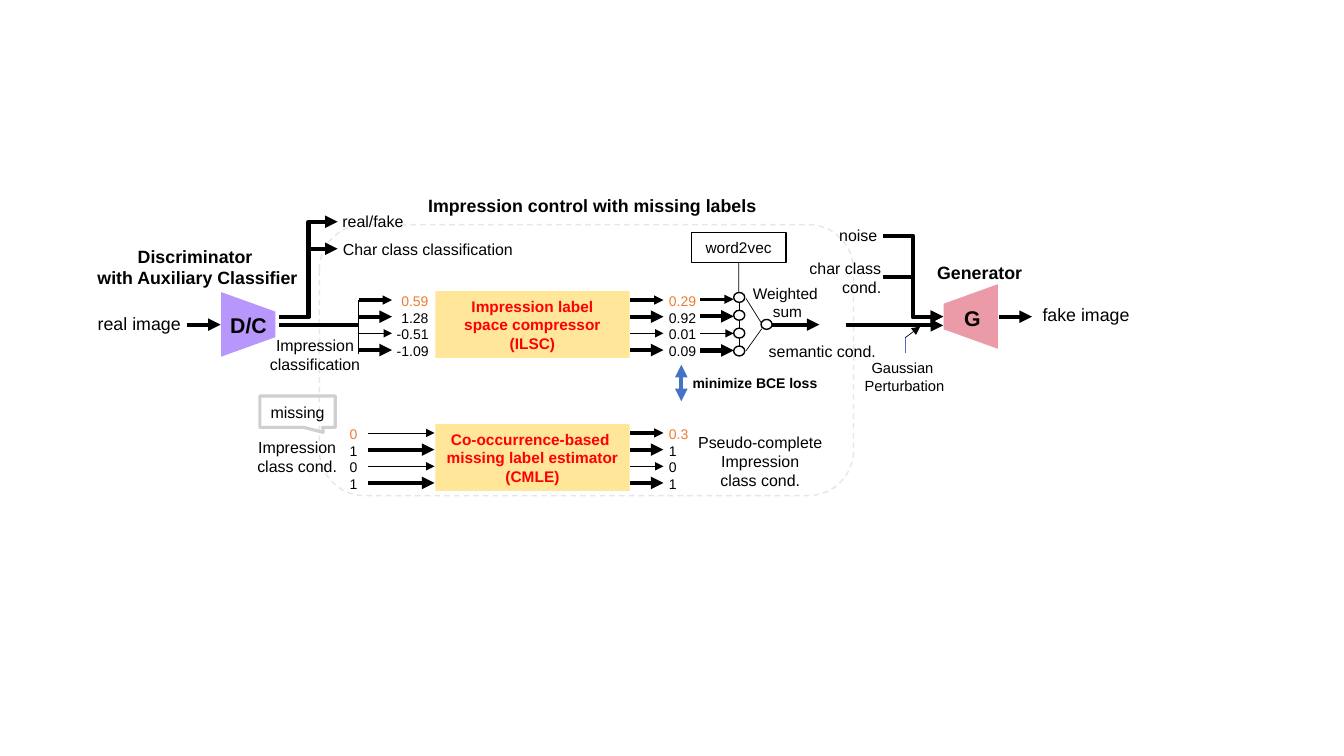
"""Build the slide on impression control with missing labels."""
import dataclasses
import pptx
import pptx.dml.color
import pptx.enum.dml
import pptx.enum.shapes
import pptx.enum.text
import pptx.oxml.ns
import pptx.oxml.xmlchemy
import pptx.slide
import pptx.util

Cm, Pt = pptx.util.Cm, pptx.util.Pt
RGBColor = pptx.dml.color.RGBColor
Kind = pptx.enum.shapes.MSO_SHAPE
Join = pptx.enum.shapes.MSO_CONNECTOR
Align = pptx.enum.text.PP_ALIGN
qn = pptx.oxml.ns.qn

BLACK = RGBColor(0x00, 0x00, 0x00)
WHITE = RGBColor(0xFF, 0xFF, 0xFF)
RED = RGBColor(0xFF, 0x00, 0x00)
ORANGE = RGBColor(0xED, 0x7D, 0x31)
BLUE = RGBColor(0x44, 0x72, 0xC4)
PINK = RGBColor(0xEB, 0x9A, 0xA8)
VIOLET = RGBColor(0x56, 0x08, 0xF9)
SAND = RGBColor(0xFF, 0xE6, 0x99)
PALE = RGBColor(0xE7, 0xE6, 0xE6)
GRAY = RGBColor(0xD0, 0xCE, 0xCE)

FLOW = (2.25, 3, 0.25, 3)
LABELS = (0.25, 3, 0.25, 3)


@dataclasses.dataclass
class Box:
    """A region of the slide, with its corner in centimetres."""
    slide: pptx.slide.Slide
    x: float
    y: float

    def place(self, left, top):
        """Turn an offset in the region into a slide position."""
        return Cm(self.x + left), Cm(self.y + top)


def write(frame, text, size=11.4, bold=False, color=BLACK, first=None,
          align=Align.CENTER, wrap=False, inset=None):
    """Fill a text frame, one paragraph a line."""
    frame.word_wrap = wrap
    if inset is not None:
        frame.margin_left = frame.margin_right = Cm(inset)
        frame.margin_top = frame.margin_bottom = Cm(inset)
    for row, line in enumerate(text.split("\n")):
        para = frame.paragraphs[0] if row == 0 else frame.add_paragraph()
        para.alignment = align
        run = para.add_run()
        run.text = line
        run.font.name = "Arial"
        run.font.size = Pt(size)
        run.font.bold = bold
        run.font.color.rgb = first if first and row == 0 else color


def label(box, at, text, **form):
    """Add a text box at left, top, width, height in the region."""
    left, top, wide, high = at
    area = box.slide.shapes.add_textbox(*box.place(left, top), Cm(wide), Cm(high))
    write(area.text_frame, text, **form)


def shape(box, kind, at, fill=None, line=None, width=1):
    """Add a preset shape without a shadow."""
    left, top, wide, high = at
    item = box.slide.shapes.add_shape(kind, *box.place(left, top), Cm(wide), Cm(high))
    item.shadow.inherit = False
    if fill is None:
        item.fill.background()
    else:
        item.fill.solid()
        item.fill.fore_color.rgb = fill
    if line is None:
        item.line.fill.background()
    else:
        item.line.color.rgb = line
        item.line.width = Pt(width)
    return item


def link(box, start, end, width=3, color=BLACK, ends=("tailEnd",), bent=False):
    """Add a straight or bent line with the given arrowheads."""
    kind = Join.ELBOW if bent else Join.STRAIGHT
    item = box.slide.shapes.add_connector(kind, *box.place(*start), *box.place(*end))
    item.line.color.rgb = color
    item.line.width = Pt(width)
    props = item.element.spPr
    for name in ends:
        head = pptx.oxml.xmlchemy.OxmlElement("a:" + name)
        head.set("type", "triangle")
        props.find(qn("a:ln")).append(head)
    props.append(pptx.oxml.xmlchemy.OxmlElement("a:effectLst"))
    return item


def fan(box, left, right, top, widths, step=0.42):
    """Draw a stack of arrows, one for each label."""
    for row, width in enumerate(widths):
        level = top + row * step
        link(box, (left, level), (right, level), width)


def net(box, at, turn, fill):
    """Draw a network as a turned trapezoid."""
    item = shape(box, Kind.TRAPEZOID, (*at, 1.63, 1.37), fill)
    item.adjustments[0] = 0.36
    item.rotation = turn
    return item


def control(box):
    """Draw the dashed frame and its title."""
    frame = shape(box, Kind.ROUNDED_RECTANGLE, (0, 0, 13.46, 6.83), line=PALE)
    frame.line.dash_style = pptx.enum.dml.MSO_LINE.DASH
    label(box, (2.47, -0.88, 8.94, 0.79), "Impression control with missing labels ",
          size=12.7, bold=True)


def critic(box):
    """Draw the discriminator with its inputs and outputs."""
    item = net(box, (3.24, 2.29), 90, VIOLET)
    alpha = pptx.oxml.xmlchemy.OxmlElement("a:alpha")
    alpha.set("val", "42000")
    item.element.spPr.find(qn("a:solidFill"))[0].append(alpha)
    label(box, (3.34, 2.55, 1.45, 0.91), "D/C", size=15.2, bold=True)
    label(box, (0, 0.87, 5.56, 1.35), "Discriminator \nwith Auxiliary Classifier",
          size=12.7, bold=True)
    label(box, (0, 2.55, 2.62, 0.79), "real image", size=12.7)
    link(box, (2.52, 2.98), (3.36, 2.98))
    for level in (0.39, 1.07):
        link(box, (4.84, 2.78), (6.31, level), bent=True)
    label(box, (6.16, 0, 2.08, 0.74), "real/fake")
    label(box, (6.16, 0.72, 4.85, 0.74), "Char class classification")
    link(box, (4.84, 2.98), (6.84, 2.98), ends=())
    label(box, (4.28, 3.13, 2.92, 1.22), "Impression\nclassification")


def stage(box, title, source, result, span, widths, left, wide, align):
    """Draw a label block between its input and output values."""
    block = shape(box, Kind.RECTANGLE, (1.93, 0.1, 4.9, 1.68), SAND)
    write(block.text_frame, title, size=11, bold=True, color=RED, wrap=True)
    fan(box, *span, 0.32, widths)
    fan(box, 6.84, 7.68, 0.32, FLOW)
    label(box, (left, 0, wide, 1.96), source, size=10, first=ORANGE, align=align)
    label(box, (7.57, 0, 1.2, 1.96), result, size=10, first=ORANGE, align=Align.LEFT)


def squeeze(box):
    """Draw the label space compressor and the loss below it."""
    stage(box, "Impression label\nspace compressor\n(ILSC)",
          "0.59\n1.28\n-0.51\n-1.09", "0.29\n0.92\n0.01\n0.09",
          (0, 0.84), FLOW, 0.69, 1.32, Align.RIGHT)
    link(box, (0, 0.33), (0, 1.68), 0.5, ends=())
    link(box, (8.13, 2.87), (8.13, 1.95), color=BLUE, ends=("headEnd", "tailEnd"))
    label(box, (7.9, 2.06, 4.17, 0.69), "minimize BCE loss", size=10, bold=True, wrap=True)


def guess(box):
    """Draw the missing label estimator and its class conditions."""
    stage(box, "Co-occurrence-based \nmissing label estimator\n(CMLE)",
          "0\n1\n0\n1", "0.3\n1\n0\n1",
          (0.23, 1.91), LABELS, -0.48, 0.71, Align.LEFT)
    label(box, (-2.82, 0.31, 2.54, 1.22), "Impression\nclass cond.")
    label(box, (8.28, 0.18, 3.68, 1.73), "Pseudo-complete\nImpression\nclass cond.")
    note = shape(box, Kind.RECTANGULAR_CALLOUT, (-2.49, -0.61, 1.9, 0.79),
                 line=GRAY, width=2.25)
    note.adjustments[0], note.adjustments[1] = 0.34, 0.66
    write(note.text_frame, "missing")


def embed(box):
    """Draw the word vectors and their weighted sum."""
    model = shape(box, Kind.RECTANGLE, (0, 0, 2.39, 0.74), line=BLACK, width=0.75)
    write(model.text_frame, "word2vec", size=11)
    link(box, (1.2, 0.74), (1.2, 1.5), 0.5, ends=()).begin_connect(model, 2)
    link(box, (1.21, 1.5), (1.21, 2.85), 0.5, ends=())
    fan(box, 0.23, 1.07, 1.67, FLOW, 0.43)
    link(box, (1.38, 1.65), (1.76, 2.26), 0.5, ends=())
    link(box, (1.78, 2.41), (1.38, 2.97), 0.5, ends=())
    nodes = [(1.07, 1.5 + row * 0.45) for row in range(4)] + [(1.76, 2.18)]
    for node in nodes:
        shape(box, Kind.OVAL, (*node, 0.28, 0.25), WHITE, BLACK)
    link(box, (2.04, 2.31), (3.23, 2.31))
    label(box, (1.55, 1.29, 1.75, 0.94), "Weighted \nsum", size=11, inset=0)
    label(box, (1.68, 2.61, 3.25, 0.74), "semantic cond.")


def maker(box):
    """Draw the generator with its conditions and output."""
    net(box, (3.53, 1.73), 270, PINK)
    label(box, (3.93, 2.01, 0.91, 0.91), "G", size=15.2, bold=True)
    label(box, (3.2, 0.92, 2.74, 0.79), "Generator", size=12.7, bold=True)
    for level in (0.38, 1.43):
        link(box, (2.13, level), (3.65, 2.42), bent=True)
    label(box, (0.76, 0, 1.5, 0.74), "noise")
    label(box, (0, 0.82, 2.34, 1.22), "char class\ncond.", align=Align.RIGHT)
    link(box, (1.19, 2.64), (3.65, 2.64))
    link(box, (2.69, 2.95), (3.07, 2.67), 0.5)
    link(box, (2.69, 2.95), (2.69, 3.33), 0.5, BLUE, ends=())
    label(box, (1.39, 3.36, 2.57, 1.14), "Gaussian \nPerturbation", size=10.5)
    link(box, (5.05, 2.42), (5.89, 2.42))
    label(box, (5.89, 1.98, 2.72, 0.79), "fake image", size=12.7)


def main():
    """Build and save the deck."""
    deck = pptx.Presentation()
    deck.slide_width, deck.slide_height = Cm(33.87), Cm(19.05)
    slide = deck.slides.add_slide(deck.slide_layouts[6])
    control(Box(slide, 8.05, 5.66))
    critic(Box(slide, 2.2, 5.2))
    squeeze(Box(slide, 9.04, 7.24))
    guess(Box(slide, 9.04, 10.59))
    embed(Box(slide, 17.42, 5.87))
    maker(Box(slide, 20.12, 5.56))
    deck.save("out.pptx")


if __name__ == "__main__":
    main()
